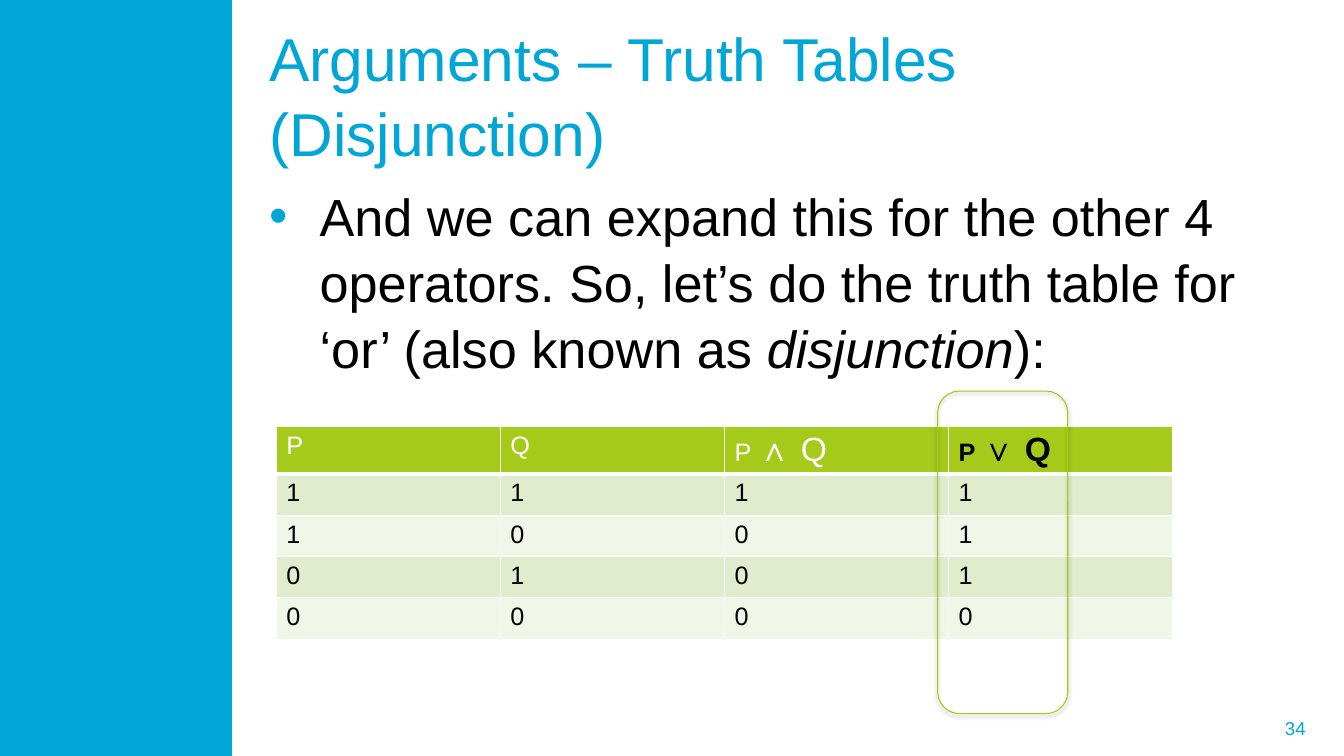
"""Build the truth table slide on disjunction."""
from lxml.etree import SubElement
from pptx import Presentation
from pptx.dml.color import RGBColor
from pptx.enum.shapes import MSO_SHAPE
from pptx.enum.text import MSO_ANCHOR, MSO_AUTO_SIZE, PP_ALIGN
from pptx.oxml.ns import qn
from pptx.util import Inches, Pt


def rgb(value):
    return RGBColor.from_string(value)


def add_run(p, text, size, color, bold=False, italic=False):
    r = p.add_run()
    r.text = text
    r.font.name = "Arial"
    r.font.size = Pt(size)
    r.font.color.rgb = rgb(color)
    r.font.bold = bold
    r.font.italic = italic


BLUE, GREEN, WHITE, BLACK = "00A6D6", "A5CA1A", "FFFFFF", "000000"

prs = Presentation()
prs.slide_width, prs.slide_height = Inches(13.33), Inches(7.5)
s = prs.slides.add_slide(prs.slide_layouts[1])

band = s.shapes.add_shape(MSO_SHAPE.RECTANGLE, 0, 0, Inches(2.3), Inches(7.5))
band.shadow.inherit = False
band.fill.solid()
band.fill.fore_color.rgb = rgb(BLUE)
band.line.fill.background()

title, body = s.shapes.title, s.placeholders[1]
for sp, top, width, height, anchor, spacing in (
    (title, 0.3, 10.36, 1.25, MSO_ANCHOR.MIDDLE, 1.04),
    (body, 1.75, 10.49, 2.55, MSO_ANCHOR.TOP, 1.05),
):
    sp.left, sp.top = Inches(2.57), Inches(top)
    sp.width, sp.height = Inches(width), Inches(height)
    tf = sp.text_frame
    tf.word_wrap = True
    tf.auto_size = MSO_AUTO_SIZE.NONE
    tf.vertical_anchor = anchor
    p = tf.paragraphs[0]
    p.alignment = PP_ALIGN.LEFT
    p.line_spacing = spacing
    p.space_before = Pt(0)

add_run(title.text_frame.paragraphs[0], "Arguments – Truth Tables (Disjunction)", 43.2, BLUE)

p = body.text_frame.paragraphs[0]
pPr = p._p.get_or_add_pPr()
pPr.set("marL", str(Inches(0.5)))
pPr.set("indent", str(-Inches(0.5)))
SubElement(SubElement(pPr, qn("a:buClr")), qn("a:srgbClr"), val=BLUE)
SubElement(pPr, qn("a:buFont"), typeface="Arial")
SubElement(pPr, qn("a:buChar"), char="•")
add_run(p, "And we can expand this for the other 4 operators. So, let’s do the truth table for "
           "‘or’ (also known as ", 37.3, BLACK)
add_run(p, "disjunction", 37.3, BLACK, italic=True)
add_run(p, "):", 37.3, BLACK)

headers = [["P"], ["Q"], ["P ", "∧ Q"], ["P ", "∨ Q"]]
values = [(a, b, a & b, a | b) for a in (1, 0) for b in (1, 0)]
rows = [headers] + [[[str(v)] for v in row] for row in values]
table = s.shapes.add_table(5, 4, Inches(2.74), Inches(4.23), Inches(8.89), Inches(2.05)).table
for row in table.rows:
    row.height = Inches(0.41)

for i, row in enumerate(rows):
    for j, parts in enumerate(row):
        cell = table.cell(i, j)
        tcPr = cell._tc.get_or_add_tcPr()
        for side in "LRTB":
            heavy = (i, side) in ((0, "B"), (1, "T"))
            ln = SubElement(tcPr, qn(f"a:ln{side}"), w=str(Pt(3 if heavy else 1)))
            SubElement(SubElement(ln, qn("a:solidFill")), qn("a:srgbClr"), val=WHITE)
        cell.fill.solid()
        cell.fill.fore_color.rgb = rgb(GREEN if i == 0 else "E1ECCD" if i % 2 else "F0F6E8")
        new_column = i == 0 and j == 3
        color = WHITE if i == 0 and not new_column else BLACK
        for size, text in zip((18, 24), parts):
            add_run(cell.text_frame.paragraphs[0], text, size, color, bold=new_column)

frame = s.shapes.add_shape(MSO_SHAPE.ROUNDED_RECTANGLE, Inches(9.3), Inches(3.88), Inches(1.29), Inches(3.2))
frame.shadow.inherit = False
frame.fill.background()
frame.line.color.rgb = rgb("A4CA15")
frame.line.width = Pt(0.75)
effects = frame._element.spPr.find(qn("a:effectLst"))
shadow = SubElement(effects, qn("a:outerShdw"), blurRad=str(Pt(3.1)), dist=str(Pt(1.8)),
                    dir="5400000", rotWithShape="0")
SubElement(SubElement(shadow, qn("a:srgbClr"), val=BLACK), qn("a:alpha"), val="35000")

number = s.shapes.add_textbox(Inches(9.7), Inches(7.02), Inches(3.38), Inches(0.4))
tf = number.text_frame
tf.word_wrap = True
tf.vertical_anchor = MSO_ANCHOR.MIDDLE
tf.margin_left = tf.margin_right = Inches(0.13)
tf.margin_top = tf.margin_bottom = Inches(0.07)
tf.paragraphs[0].alignment = PP_ALIGN.RIGHT
add_run(tf.paragraphs[0], "34", 13.3, BLUE)

prs.save("out.pptx")
